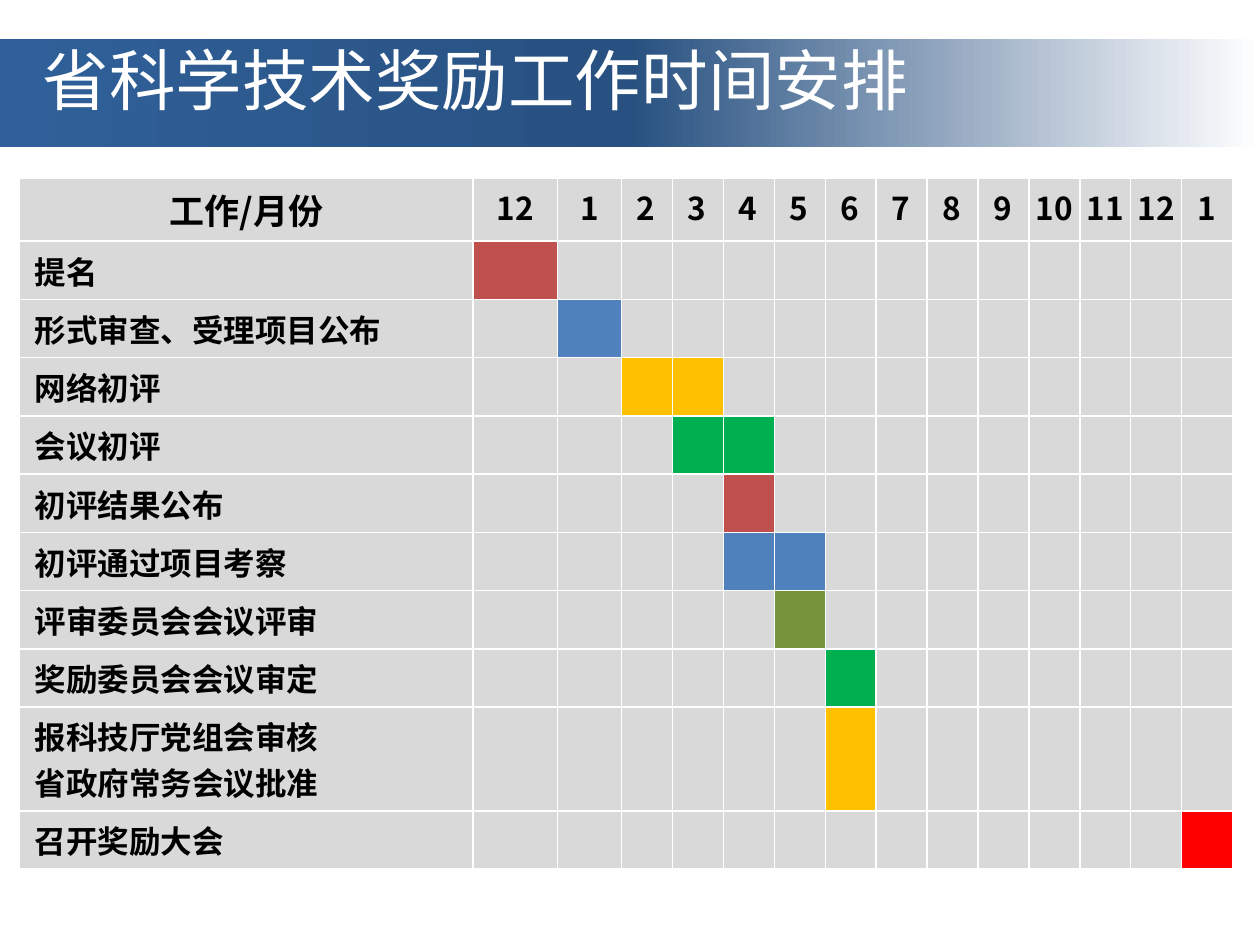
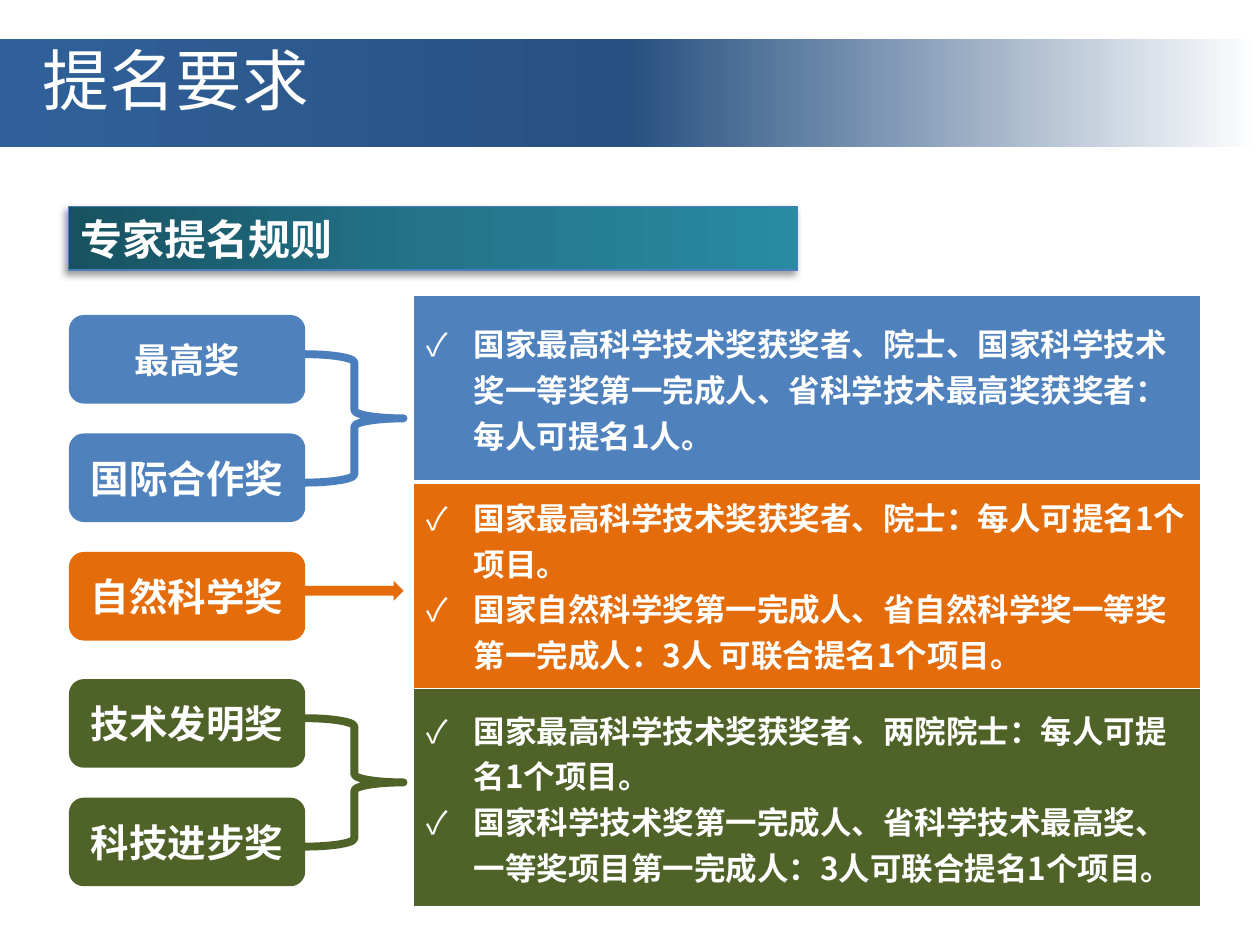
from lxml.etree import SubElement
from pptx import Presentation
from pptx.dml.color import RGBColor
from pptx.enum.shapes import MSO_SHAPE as Kind
from pptx.enum.text import MSO_ANCHOR as Anchor, PP_ALIGN as Align
from pptx.oxml import parse_xml
from pptx.oxml.ns import nsdecls, qn
from pptx.util import Pt

# Shared look
FONT = "Noto Sans CJK SC"
WHITE = RGBColor(0xFF, 0xFF, 0xFF)
BLACK = RGBColor(0, 0, 0)
GREY = RGBColor(0xD9, 0xD9, 0xD9)
RUST = RGBColor(0xC0, 0x50, 0x4D)
BLUE = RGBColor(0x4F, 0x81, 0xBD)
EDGE = RGBColor(0x4B, 0x7E, 0xBC)
GOLD = RGBColor(0xFF, 0xC0, 0x00)
GREEN = RGBColor(0x00, 0xB0, 0x50)
OLIVE = RGBColor(0x77, 0x93, 0x3C)
MOSS = RGBColor(0x4F, 0x62, 0x28)
ORANGE = RGBColor(0xE4, 0x6C, 0x0A)
RED = RGBColor(0xFF, 0, 0)
NAVY = RGBColor(0x28, 0x51, 0x81)
STEEL = RGBColor(0x30, 0x60, 0x99)
TEALS = [RGBColor(0x18, 0x52, 0x61), RGBColor(0x23, 0x74, 0x8A),
         RGBColor(0x29, 0x8A, 0xA3)]

# Schedule: label, colour, first and last month column
MONTHS = ["12", *map(str, range(1, 13)), "1"]
TASKS = [
    ("提名", RUST, 1, 1),
    ("形式审查、受理项目公布", BLUE, 2, 2),
    ("网络初评", GOLD, 3, 4),
    ("会议初评", GREEN, 4, 5),
    ("初评结果公布", RUST, 5, 5),
    ("初评通过项目考察", BLUE, 5, 6),
    ("评审委员会会议评审", OLIVE, 6, 6),
    ("奖励委员会会议审定", GREEN, 7, 7),
    ("报科技厅党组会审核\n省政府常务会议批准", GOLD, 7, 7),
    ("召开奖励大会", RED, 14, 14),
]

# Awards: label, text size, colour, top
AWARDS = [
    ("最高奖", 20, BLUE, 180),
    ("国际合作奖", 22, BLUE, 247.7),
    ("自然科学奖", 22, ORANGE, 315.4),
    ("技术发明奖", 22, MOSS, 388.1),
    ("科技进步奖", 22, MOSS, 455.8),
]

# Rules: colour, row height, points
RULES = [
    (BLUE, 106.6, ["国家最高科学技术奖获奖者、院士、国家科学技术奖一等奖第一完成人、"
                   "省科学技术最高奖获奖者：每人可提名1人。"]),
    (ORANGE, 118.2, ["国家最高科学技术奖获奖者、院士：每人可提名1个项目。",
                     "国家自然科学奖第一完成人、省自然科学奖一等奖第一完成人："
                     "3人 可联合提名1个项目。"]),
    (MOSS, 124.8, ["国家最高科学技术奖获奖者、两院院士：每人可提名1个项目。",
                   "国家科学技术奖第一完成人、省科学技术最高奖、"
                   "一等奖项目第一完成人：3人可联合提名1个项目。"]),
]


def write(frame, lines, size, color, bold=True, align=Align.LEFT):
    """Fill a text frame, one paragraph per line."""
    looks = {"size": Pt(size), "bold": bold, "name": FONT}
    for i, line in enumerate(lines):
        para = frame.add_paragraph() if i else frame.paragraphs[0]
        para.alignment = align
        run = para.add_run()
        run.text = line
        for key, val in looks.items():
            setattr(run.font, key, val)
        run.font.color.rgb = color
        SubElement(run.font._element, qn("a:ea"), typeface=FONT)


def shape(slide, kind, box, fill=None, line=None, width=0):
    item = slide.shapes.add_shape(kind, *map(Pt, box))
    item.shadow.inherit = False
    if fill is None:
        item.fill.background()
    else:
        item.fill.solid()
        item.fill.fore_color.rgb = fill
    if line is None:
        item.line.fill.background()
    else:
        item.line.color.rgb = line
        item.line.width = Pt(width)
    return item


def fade(item, colors, angle):
    """Three-stop linear gradient."""
    item.fill.gradient()
    grad = item._element.spPr.find(qn("a:gradFill"))
    stops = "".join(f'<a:gs pos="{i * 50000}"><a:srgbClr val="{c}"/></a:gs>'
                    for i, c in enumerate(colors))
    grad.getparent().replace(grad, parse_xml(
        f'<a:gradFill {nsdecls("a")} rotWithShape="1"><a:gsLst>{stops}</a:gsLst>'
        f'<a:lin ang="{angle * 60000}" scaled="0"/></a:gradFill>'))


def shade(item):
    """Soft shadow to the lower left."""
    glow = item._element.spPr.find(qn("a:effectLst"))
    glow.append(parse_xml(
        f'<a:outerShdw {nsdecls("a")} blurRad="{Pt(4)}" dist="{Pt(3)}" dir="8100000" '
        'algn="tr" rotWithShape="0"><a:srgbClr val="000000"><a:alpha val="40000"/>'
        '</a:srgbClr></a:outerShdw>'))


def layout(frame, **opts):
    """Set frame options; margins in points."""
    for key, val in opts.items():
        setattr(frame, key, Pt(val) if key.startswith("margin") else val)


def title(slide, text):
    band = shape(slide, Kind.RECTANGLE, (0, 22.3, 720, 62), WHITE)
    fade(band, [WHITE, NAVY, STEEL], 180)
    layout(band.text_frame, word_wrap=True, vertical_anchor=Anchor.TOP,
           margin_left=24.5, margin_top=0, margin_bottom=0)
    write(band.text_frame, [text], 38, WHITE, bold=False)


def grid(slide, left, top, cols, rows):
    frame = slide.shapes.add_table(len(rows), len(cols), Pt(left), Pt(top),
                                   Pt(sum(cols)), Pt(sum(rows)))
    table = frame.table
    table.first_row = table.horz_banding = False
    for col, size in zip(table.columns, cols):
        col.width = Pt(size)
    for row, size in zip(table.rows, rows):
        row.height = Pt(size)
    return table


def paint(cell, fill, top=1, bottom=1):
    """Cell fill with white borders."""
    cell.fill.solid()
    cell.fill.fore_color.rgb = fill
    sides = {"L": 1, "R": 1, "T": top, "B": bottom}
    for i, (side, width) in enumerate(sides.items()):
        cell._tc.tcPr.insert(i, parse_xml(
            f'<a:ln{side} {nsdecls("a")} w="{Pt(width)}"><a:solidFill>'
            f'<a:srgbClr val="{WHITE}"/></a:solidFill></a:ln{side}>'))


def tick(para):
    """Check-mark bullet with hanging indent."""
    props = para._p.get_or_add_pPr()
    props.set("marL", str(Pt(27)))
    props.set("indent", str(-Pt(27)))
    SubElement(props, qn("a:buFont"), typeface=FONT)
    SubElement(props, qn("a:buChar"), char="✓")


def plan(slide):
    """Month table with coloured spans."""
    cols = [259.2, 48.2, 36.7] + [29.1] * 12
    table = grid(slide, 11.2, 101.6, cols, [33.2] * (len(TASKS) + 1))
    for c, text in enumerate(["工作/月份"] + MONTHS):
        cell = table.cell(0, c)
        paint(cell, GREY)
        side = 0 if c > 10 else 8.6
        layout(cell, margin_left=side, margin_right=side)
        mid = c < 3 or c > 10
        write(cell.text_frame, [text], 18 if c else 20, BLACK,
              align=Align.CENTER if mid else Align.LEFT)
    for r, (label, color, first, last) in enumerate(TASKS, 1):
        for c in range(len(cols)):
            paint(table.cell(r, c), color if first <= c <= last else GREY)
        cell = table.cell(r, 0)
        layout(cell, margin_left=8.6, margin_right=8.6)
        write(cell.text_frame, label.split("\n"), 18, BLACK)


def banner(slide, text):
    bar = shape(slide, Kind.RECTANGLE, (39.2, 118, 416.4, 36.4), TEALS[0], EDGE, 0.75)
    fade(bar, TEALS, 0)
    shade(bar)
    layout(bar.text_frame, word_wrap=True, vertical_anchor=Anchor.MIDDLE,
           margin_top=0, margin_bottom=0)
    write(bar.text_frame, [text], 24, WHITE)


def award(slide, label, size, color, top):
    box = shape(slide, Kind.ROUNDED_RECTANGLE, (39.4, top, 135, 50.6), color)
    layout(box.text_frame, word_wrap=True, vertical_anchor=Anchor.MIDDLE)
    write(box.text_frame, [label], size, WHITE, align=Align.CENTER)


def rules(slide):
    table = grid(slide, 236.4, 168.8, [449.6], [rule[1] for rule in RULES])
    for r, (color, _, points) in enumerate(RULES):
        cell = table.cell(r, 0)
        paint(cell, color, top=3 if r == 1 else 1, bottom=1 if r else 3)
        cell.vertical_anchor = Anchor.MIDDLE
        write(cell.text_frame, points, 18, WHITE)
        for para in cell.text_frame.paragraphs:
            tick(para)


def main():
    deck = Presentation()
    deck.slide_width, deck.slide_height = Pt(720), Pt(540)
    blank = deck.slide_layouts[6]

    # Timetable
    times = deck.slides.add_slide(blank)
    title(times, "省科学技术奖励工作时间安排")
    plan(times)

    # Nomination rules
    needs = deck.slides.add_slide(blank)
    title(needs, "提名要求")
    banner(needs, "专家提名规则")
    for item in AWARDS:
        award(needs, *item)
    for top, color in ((202.4, EDGE), (410.4, MOSS)):
        shape(needs, Kind.RIGHT_BRACE, (174.4, top, 56.2, 73.4), None, color, 4.5)
    rules(needs)
    shape(needs, Kind.RIGHT_ARROW, (174.4, 331.9, 56.2, 11.4), ORANGE)

    deck.save("out.pptx")


if __name__ == "__main__":
    main()
